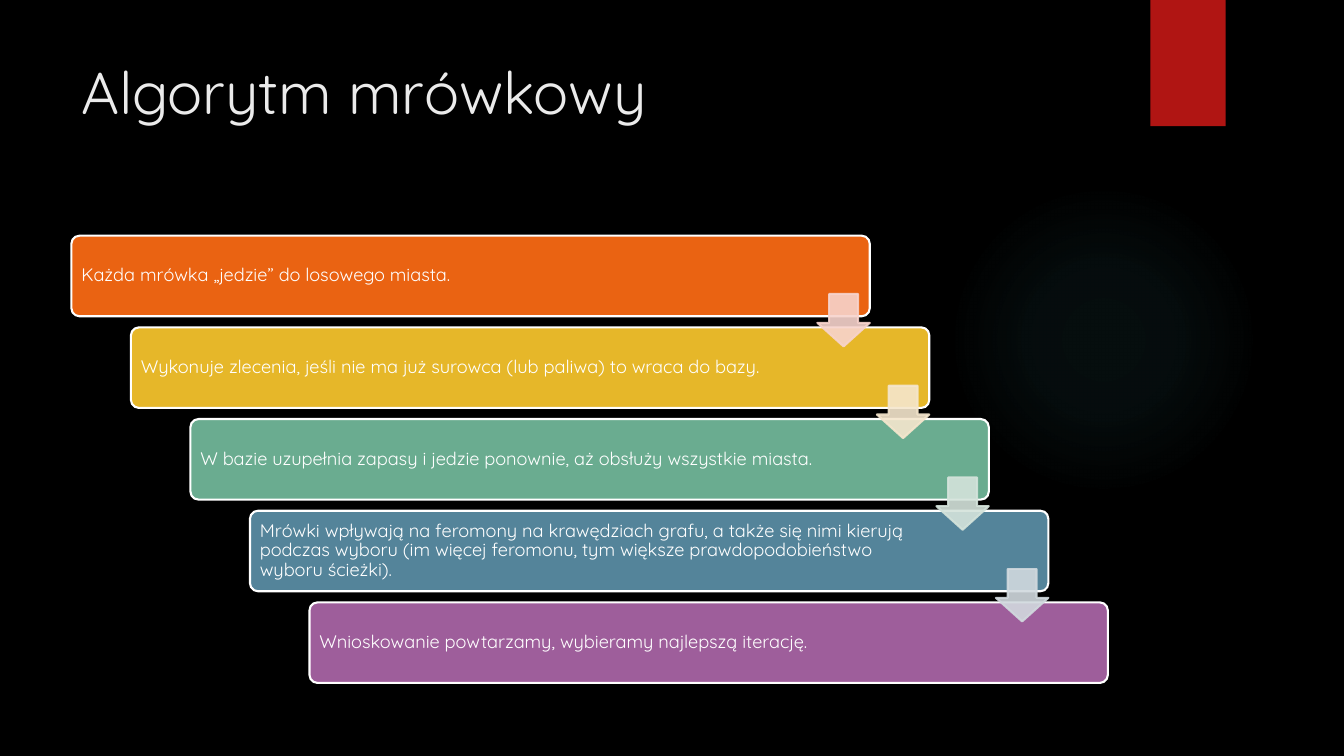
"""Build the slide that shows the ant algorithm as a staircase of five steps."""
from lxml import etree
from pptx import Presentation
from pptx.dml.color import RGBColor
from pptx.enum.shapes import MSO_SHAPE
from pptx.enum.text import MSO_ANCHOR, PP_ALIGN
from pptx.oxml.ns import qn
from pptx.util import Cm, Pt

RECTANGLE, ROUNDED = MSO_SHAPE.RECTANGLE, MSO_SHAPE.ROUNDED_RECTANGLE
ELLIPSE, DOWN_ARROW = MSO_SHAPE.OVAL, MSO_SHAPE.DOWN_ARROW
TOP, MIDDLE, LEFT = MSO_ANCHOR.TOP, MSO_ANCHOR.MIDDLE, PP_ALIGN.LEFT

FONT = "Quicksand"
TITLE = "Algorytm mrówkowy"
STEPS = [
    ("Każda mrówka „jedzie” do losowego miasta.", "EA6312"),
    ("Wykonuje zlecenia, jeśli nie ma już surowca (lub paliwa) to wraca do bazy.", "E6B729"),
    ("W bazie uzupełnia zapasy i jedzie ponownie, aż obsłuży wszystkie miasta.", "6AAC90"),
    ("Mrówki wpływają na feromony na krawędziach grafu, a także się nimi kierują "
     "podczas wyboru (im więcej feromonu, tym większe prawdopodobieństwo "
     "wyboru ścieżki).", "54849A"),
    ("Wnioskowanie powtarzamy, wybieramy najlepszą iterację.", "9E5E9B"),
]
ARROW_COLOURS = ["F7D3CC", "F5E6CD", "D4E3DB", "D1D9DE"]
GLOW_COLOUR, GLOW_STOPS = "50B9C1", [(0, 7), (36, 6), (69, 0)]

FIRST_LEFT, FIRST_TOP = 1.8, 5.94
STEP_WIDTH, STEP_HEIGHT = 20.12, 2.03
SHIFT_RIGHT, SHIFT_DOWN = 1.5, 2.31
ARROW_SIZE, ARROW_DROP = 1.32, 1.47


def rgb(colour):
    return RGBColor.from_string(colour)


def add_block(slide, preset, box, fill, line=None, adjustments=()):
    block = slide.shapes.add_shape(preset, *map(Cm, box))
    block.shadow.inherit = False
    for index, value in enumerate(adjustments):
        block.adjustments[index] = value
    block.fill.solid()
    block.fill.fore_color.rgb = rgb(fill)
    if line:
        block.line.color.rgb = rgb(line)
        block.line.width = Pt(1.5)
    else:
        block.line.fill.background()
    return block


def write(holder, text, size, colour, anchor, insets, spacing=1.0):
    frame = holder.text_frame
    frame.word_wrap = True
    frame.vertical_anchor = anchor
    (frame.margin_left, frame.margin_top,
     frame.margin_right, frame.margin_bottom) = map(Cm, insets)
    paragraph = frame.paragraphs[0]
    paragraph.alignment = LEFT
    paragraph.line_spacing = spacing
    run = paragraph.add_run()
    run.text = text
    run.font.name = FONT
    run.font.size = Pt(size)
    run.font.color.rgb = rgb(colour)


def set_opacity(colour_element, percent):
    etree.SubElement(colour_element, qn("a:alpha"), val=str(percent * 1000))


def add_glow(slide):
    glow = add_block(slide, ELLIPSE, (23.9, 4.65, 7.82, 7.82), GLOW_COLOUR)
    glow.fill.gradient()
    gradient = glow.element.spPr.find(qn("a:gradFill"))
    for child in list(gradient):
        gradient.remove(child)
    stops = etree.SubElement(gradient, qn("a:gsLst"))
    for position, opacity in GLOW_STOPS:
        stop = etree.SubElement(stops, qn("a:gs"), pos=str(position * 1000))
        set_opacity(etree.SubElement(stop, qn("a:srgbClr"), val=GLOW_COLOUR), opacity)
    radial = etree.SubElement(gradient, qn("a:path"), path="circle")
    etree.SubElement(radial, qn("a:fillToRect"), l="50000", t="50000", r="50000", b="50000")


def add_steps(slide):
    for index, (text, colour) in enumerate(STEPS):
        left = FIRST_LEFT + index * SHIFT_RIGHT
        top = FIRST_TOP + index * SHIFT_DOWN
        step = add_block(slide, ROUNDED, (left, top, STEP_WIDTH, STEP_HEIGHT),
                         colour, "FFFFFF", (0.1,))
        write(step, text, 13, "FFFFFF", MIDDLE, (0.19, 0.13, 3.07, 0.13), 0.9)


def add_arrows(slide):
    for index, colour in enumerate(ARROW_COLOURS):
        left = FIRST_LEFT + index * SHIFT_RIGHT + STEP_WIDTH - ARROW_SIZE
        top = FIRST_TOP + index * SHIFT_DOWN + ARROW_DROP
        arrow = add_block(slide, DOWN_ARROW, (left, top, ARROW_SIZE, ARROW_SIZE),
                          colour, colour, (0.55, 0.45))
        for colour_element in arrow.element.spPr.iter(qn("a:srgbClr")):
            set_opacity(colour_element, 90)


def main():
    deck = Presentation()
    deck.slide_width, deck.slide_height = Cm(33.87), Cm(19.05)
    slide = deck.slides.add_slide(deck.slide_layouts[6])
    slide.background.fill.solid()
    slide.background.fill.fore_color.rgb = rgb("000000")
    add_glow(slide)
    add_block(slide, RECTANGLE, (28.99, 0, 1.9, 3.18), "B01513")
    title = slide.shapes.add_textbox(Cm(1.8), Cm(1.27), Cm(26.14), Cm(3.89))
    write(title, TITLE, 42, "EBEBEB", TOP, (0.25, 0.13, 0.25, 0.13))
    add_steps(slide)
    add_arrows(slide)
    deck.save("out.pptx")


if __name__ == "__main__":
    main()
